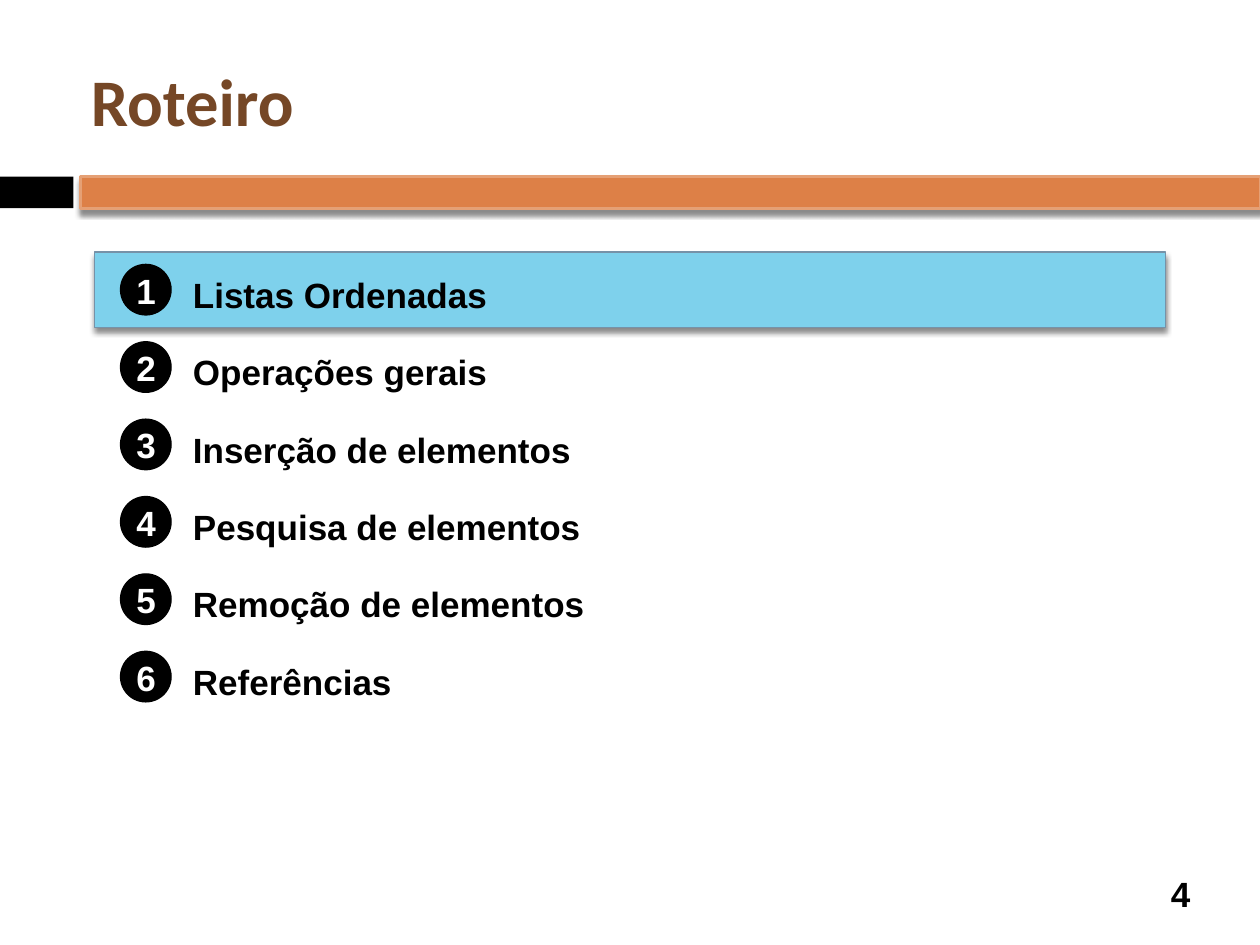
from lxml import etree
from pptx import Presentation
from pptx.dml.color import RGBColor
from pptx.enum.shapes import MSO_SHAPE
from pptx.enum.text import MSO_ANCHOR, MSO_AUTO_SIZE, PP_ALIGN
from pptx.oxml.ns import qn
from pptx.util import Cm, Pt

RECTANGLE, ROUNDED, OVAL = MSO_SHAPE.RECTANGLE, MSO_SHAPE.ROUNDED_RECTANGLE, MSO_SHAPE.OVAL
LEFT, CENTER = PP_ALIGN.LEFT, PP_ALIGN.CENTER
TOP, MIDDLE = MSO_ANCHOR.TOP, MSO_ANCHOR.MIDDLE
NO_FIT, GROW = MSO_AUTO_SIZE.NONE, MSO_AUTO_SIZE.SHAPE_TO_FIT_TEXT
TITLE_ONLY = 5

TOPICS = [
    ("Listas Ordenadas", 6.2),
    ("Operações gerais", 6.2),
    ("Inserção de elementos", 7.9),
    ("Pesquisa de elementos", 8.08),
    ("Remoção de elementos", 8.18),
    ("Referências", 4.29),
]
FIRST_TOP, PITCH = 5.33, 1.56
BADGE_SIZE, TEXT_HEIGHT = 1.02, 1.04


def color(value):
    return RGBColor.from_string(value)


def write(shape, text, font="Arial", size=20, fill="000000", align=LEFT,
          anchor=TOP, wrap=False, fit=GROW):
    frame = shape.text_frame
    frame.auto_size, frame.word_wrap, frame.vertical_anchor = fit, wrap, anchor
    frame.margin_left = frame.margin_right = Cm(0.13)
    frame.margin_top = frame.margin_bottom = Cm(0.13)
    paragraph = frame.paragraphs[0]
    paragraph.alignment = align
    run = paragraph.add_run()
    run.text = text
    run.font.name, run.font.size, run.font.bold = font, Pt(size), True
    run.font.color.rgb = color(fill)


def add_shadow(shape):
    effects = shape._element.spPr.find(qn("a:effectLst"))
    shadow = etree.SubElement(effects, qn("a:outerShdw"), blurRad=str(Pt(3)),
                              dist=str(Pt(2.4)), dir="5400000", rotWithShape="0")
    tone = etree.SubElement(shadow, qn("a:srgbClr"), val="000000")
    etree.SubElement(tone, qn("a:alpha"), val="45000")


class Deck:
    """Holds the presentation style and the current slide."""

    ink, paper = "000000", "FFFFFF"
    accent, accent_line = "DD8047", "E5A075"
    highlight, highlight_line = "7ED1EC", "7692A8"
    title_color = "754726"

    def __init__(self):
        self.presentation = Presentation()
        self.presentation.slide_width = Cm(25.4)
        self.presentation.slide_height = Cm(19.05)
        layout = self.presentation.slide_layouts[TITLE_ONLY]
        self.slide = self.presentation.slides.add_slide(layout)

    def title(self, text, left, top, width, height):
        shape = self.slide.shapes.title
        shape.left, shape.top, shape.width, shape.height = map(Cm, (left, top, width, height))
        write(shape, text, font="Calibri", size=38, fill=self.title_color,
              anchor=MIDDLE, wrap=True, fit=NO_FIT)

    def shape(self, kind, box, fill, line=None, line_width=0.75, shadow=False, shapes=None):
        shape = (shapes or self.slide.shapes).add_shape(kind, *map(Cm, box))
        shape.shadow.inherit = False
        shape.fill.solid()
        shape.fill.fore_color.rgb = color(fill)
        if line:
            shape.line.color.rgb = color(line)
            shape.line.width = Pt(line_width)
        else:
            shape.line.fill.background()
        if shadow:
            add_shadow(shape)
        return shape

    def text(self, text, box, shapes=None, **style):
        textbox = (shapes or self.slide.shapes).add_textbox(*map(Cm, box))
        write(textbox, text, **style)

    def badge(self, number, left, top):
        shapes = self.slide.shapes.add_group_shape().shapes
        self.shape(OVAL, (left, top, BADGE_SIZE, BADGE_SIZE), self.ink, self.ink, shapes=shapes)
        self.text(str(number), (left + 0.17, top, 0.69, TEXT_HEIGHT), shapes,
                  fill=self.paper, align=CENTER, anchor=MIDDLE)

    def topic(self, number, text, width):
        top = FIRST_TOP + (number - 1) * PITCH
        self.badge(number, 2.43, top)
        self.text(text, (3.76, top + 0.05, width, TEXT_HEIGHT))


def main():
    deck = Deck()
    deck.shape(RECTANGLE, (0, 3.56, 1.48, 0.64), deck.ink)
    deck.shape(RECTANGLE, (1.63, 3.56, 23.77, 0.64), deck.accent, deck.accent_line, 1.5, True)
    deck.title("Roteiro", 1.7, 0.64, 22.66, 2.74)
    highlight = deck.shape(ROUNDED, (1.9, 5.08, 21.6, 1.52), deck.highlight,
                           deck.highlight_line, 0.79, True)
    highlight.adjustments[0] = 0
    for number, (text, width) in enumerate(TOPICS, start=1):
        deck.topic(number, text, width)
    deck.text("4", (23.06, 17.5, 1.48, TEXT_HEIGHT), align=CENTER, anchor=MIDDLE,
              wrap=True, fit=NO_FIT)
    deck.presentation.save("out.pptx")


if __name__ == "__main__":
    main()
